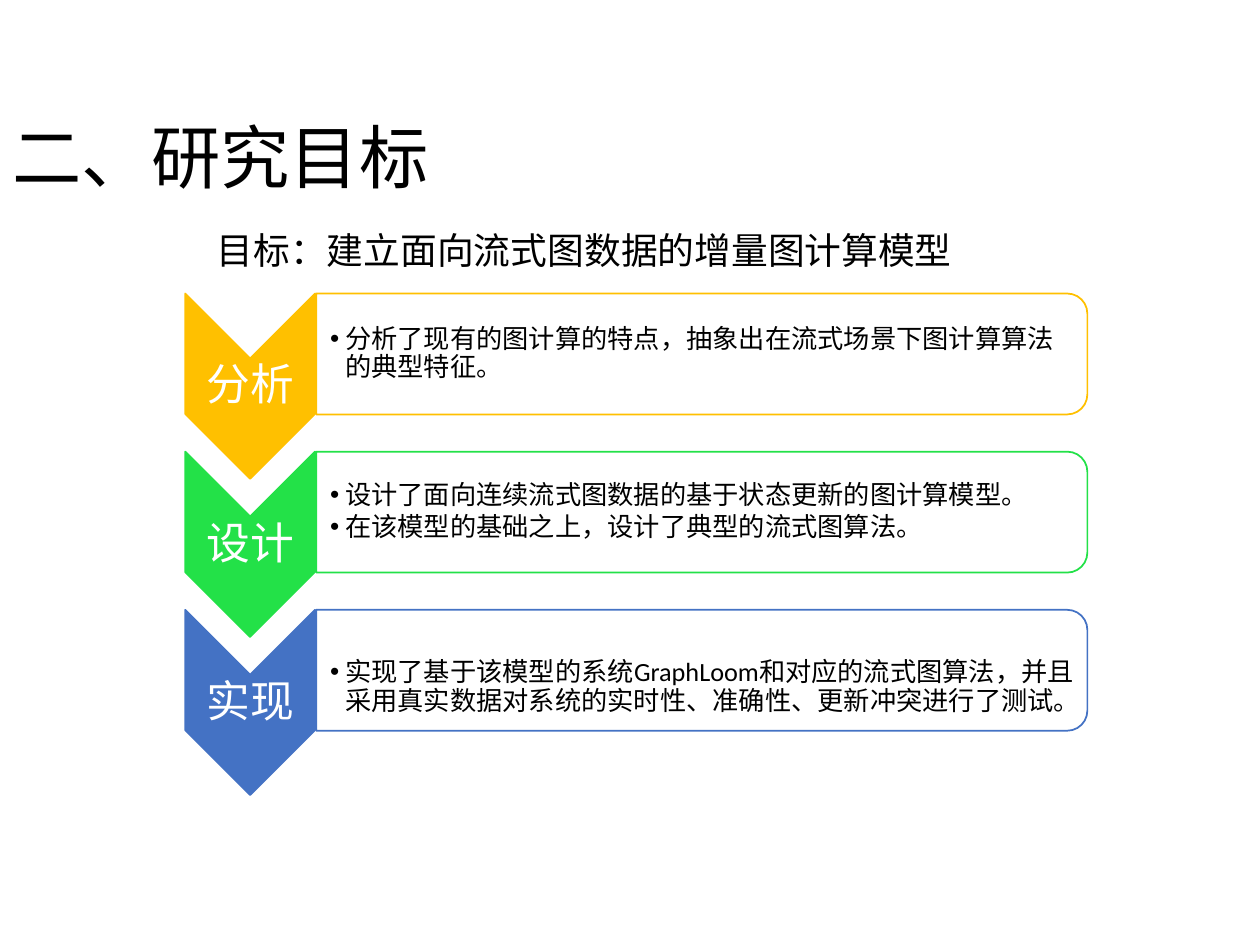
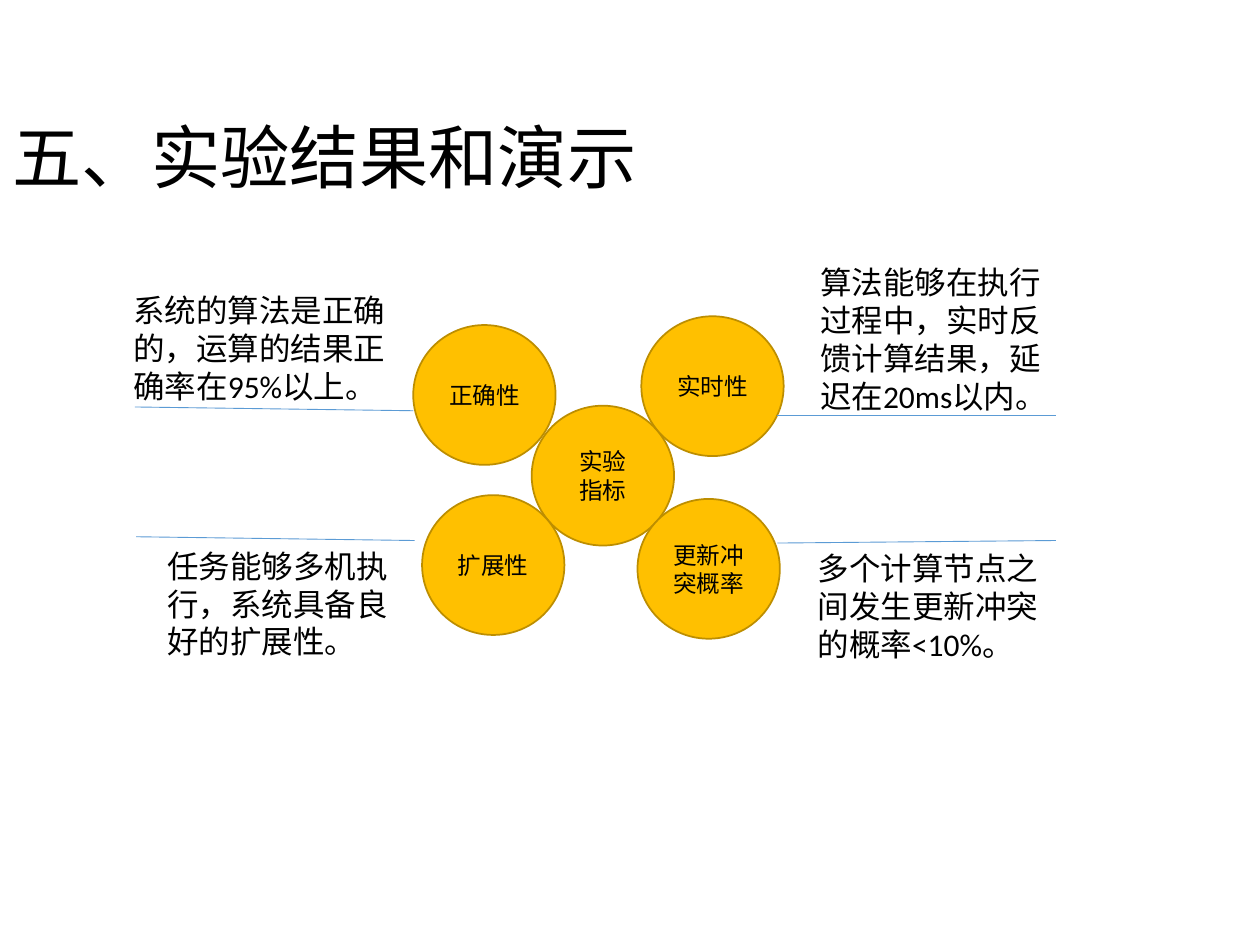
"""Build two slides: the research goals and the experiment metrics."""
import dataclasses

import lxml.etree
import pptx
import pptx.dml.color
import pptx.enum.shapes
import pptx.enum.text
import pptx.oxml.ns
import pptx.util


@dataclasses.dataclass(frozen=True)
class Theme:
    font: str = "Calibri"
    black: str = "000000"
    white: str = "FFFFFF"
    gold: str = "FFC000"
    gold_edge: str = "BD8E00"
    green: str = "23E148"
    blue: str = "4472C4"
    rule: str = "5B9BD5"
    title: float = 39.6
    step: float = 25
    goal: float = 21
    note: float = 18
    bullet: float = 15
    metric: float = 13.5


theme = Theme()
rgb = pptx.dml.color.RGBColor.from_string
qn = pptx.oxml.ns.qn
shape_type = pptx.enum.shapes.MSO_SHAPE
align = pptx.enum.text.PP_ALIGN
anchor = pptx.enum.text.MSO_ANCHOR

presentation = pptx.Presentation()
presentation.slide_width = pptx.util.Inches(10)
presentation.slide_height = pptx.util.Inches(7.5)
column = presentation.slide_width / 100
row = presentation.slide_height / 75


def place(left, top, width, height):
    return [round(left * column), round(top * row), round(width * column), round(height * row)]


def write(shape, text, size, color=theme.black, alignment=align.LEFT,
          vertical=anchor.TOP, spacing=1.0, after=0):
    frame = shape.text_frame
    frame.text = text
    frame.word_wrap = True
    frame.auto_size = pptx.enum.text.MSO_AUTO_SIZE.NONE
    frame.vertical_anchor = vertical
    for paragraph in frame.paragraphs:
        paragraph.alignment = alignment
        paragraph.line_spacing = spacing
        paragraph.space_before = pptx.util.Pt(0)
        paragraph.space_after = pptx.util.Pt(after)
        for run in paragraph.runs:
            run.font.name = theme.font
            run.font.size = pptx.util.Pt(size)
            run.font.bold = False
            run.font.color.rgb = rgb(color)


slides = []
for layout_name, title_text in [("Comparison", "二、研究目标"), ("Title Only", "五、实验结果和演示")]:
    slide = presentation.slides.add_slide(presentation.slide_layouts.get_by_name(layout_name))
    title = slide.shapes.title
    title.left, title.top, title.width, title.height = place(0, 9.2, 86.2, 7.1)
    write(title, title_text, theme.title, vertical=anchor.MIDDLE, spacing=0.9)
    slides.append(slide)
goal_slide, metric_slide = slides

goal = goal_slide.placeholders[1]
goal.left, goal.top, goal.width, goal.height = place(16.2, 17.6, 67, 4.5)
write(goal, "目标：建立面向流式图数据的增量图计算模型", theme.goal)

steps = [
    ("分析", theme.gold, 0.01, "分析了现有的图计算的特点，抽象出在流式场景下图计算算法的典型特征。"),
    ("设计", theme.green, 0.01, "设计了面向连续流式图数据的基于状态更新的图计算模型。\n"
     "在该模型的基础之上，设计了典型的流式图算法。"),
    ("实现", theme.blue, 0.28, "实现了基于该模型的系统GraphLoom和对应的流式图算法，并且"
     "采用真实数据对系统的实时性、准确性、更新冲突进行了测试。"),
]
step_pitch = 12.55
for index, (name, color, top_inset, points) in enumerate(steps):
    offset = index * step_pitch
    chevron = goal_slide.shapes.add_shape(shape_type.CHEVRON, *place(12.5, 25.5 + offset, 14.7, 10.3))
    panel = goal_slide.shapes.add_shape(
        shape_type.ROUND_2_SAME_RECTANGLE, *place(50.9, -2.5 + offset, 9.6, 61.2))
    for shape, fill in [(chevron, color), (panel, theme.white)]:
        shape.rotation = 90
        shape.shadow.inherit = False
        shape.fill.solid()
        shape.fill.fore_color.rgb = rgb(fill)
        shape.line.color.rgb = rgb(color)
        shape.line.width = pptx.util.Pt(1)
    panel_color = panel.element.spPr.find(qn("a:solidFill"))[0]
    lxml.etree.SubElement(panel_color, qn("a:alpha"), val="90000")

    label = goal_slide.shapes.add_textbox(*place(14.7, 28.5 + offset, 10.3, 4.4))
    write(label, name, theme.step, theme.white, align.CENTER, anchor.MIDDLE, 0.9)
    frame = label.text_frame
    frame.margin_left = frame.margin_right = pptx.util.Inches(0.02)
    frame.margin_top = frame.margin_bottom = pptx.util.Inches(0.02)

    points_body = goal_slide.placeholders[index + 2]
    points_body.left, points_body.top, points_body.width, points_body.height = place(
        25, 23.8 + offset, 60.7, 8.6)
    write(points_body, points, theme.bullet, vertical=anchor.MIDDLE, spacing=0.9, after=2.25)
    frame = points_body.text_frame
    frame.margin_left = pptx.util.Inches(0.12)
    frame.margin_right = frame.margin_bottom = pptx.util.Inches(0.01)
    frame.margin_top = pptx.util.Inches(top_inset)
    for paragraph in frame.paragraphs:
        properties = paragraph._p.get_or_add_pPr()
        properties.set("marL", str(pptx.util.Inches(0.12)))
        properties.set("indent", str(-pptx.util.Inches(0.12)))
        lxml.etree.SubElement(properties, qn("a:buChar"), char="•")
    panel.element.addnext(points_body.element)

metrics = [
    ("实验\n指标", 42.2, 32.2),
    ("实时性", 50.9, 25.1),
    ("更新冲突概率", 50.6, 39.6),
    ("正确性", 32.8, 25.8),
    ("扩展性", 33.5, 39.3),
]
for name, left, top in metrics:
    circle = metric_slide.shapes.add_shape(
        shape_type.FLOWCHART_CONNECTOR, *place(left, top, 11.3, 11.1))
    circle.shadow.inherit = False
    circle.fill.solid()
    circle.fill.fore_color.rgb = rgb(theme.gold)
    circle.line.color.rgb = rgb(theme.gold_edge)
    circle.line.width = pptx.util.Pt(1)
    write(circle, name, theme.metric, alignment=align.CENTER, vertical=anchor.MIDDLE)

notes = [
    ("系统的算法是正确的，运算的结果正确率在95%以上。", 9.6, 22.6, 24.1, 10.1),
    ("算法能够在执行过程中，实时反馈计算结果，延迟在20ms以内。", 64.1, 20.4, 21.1, 13.1),
    ("多个计算节点之间发生更新冲突的概率<10%。", 63.9, 43.1, 21.3, 10.1),
    ("任务能够多机执行，系统具备良好的扩展性。", 12.3, 42.9, 21.3, 10.1),
]
for text, *bounds in notes:
    write(metric_slide.shapes.add_textbox(*place(*bounds)), text, theme.note)

rules = [
    (32.8, 32.6, 10.7, 32.3),
    (83.8, 33, 61.7, 33),
    (32.9, 42.9, 10.8, 42.6),
    (83.8, 42.9, 61.7, 43.1),
]
for ends in rules:
    connector = metric_slide.shapes.add_connector(
        pptx.enum.shapes.MSO_CONNECTOR.STRAIGHT, *place(*ends))
    connector.line.color.rgb = rgb(theme.rule)
    connector.line.width = pptx.util.Pt(0.5)
    lxml.etree.SubElement(connector.element.spPr, qn("a:effectLst"))

presentation.save("out.pptx")
